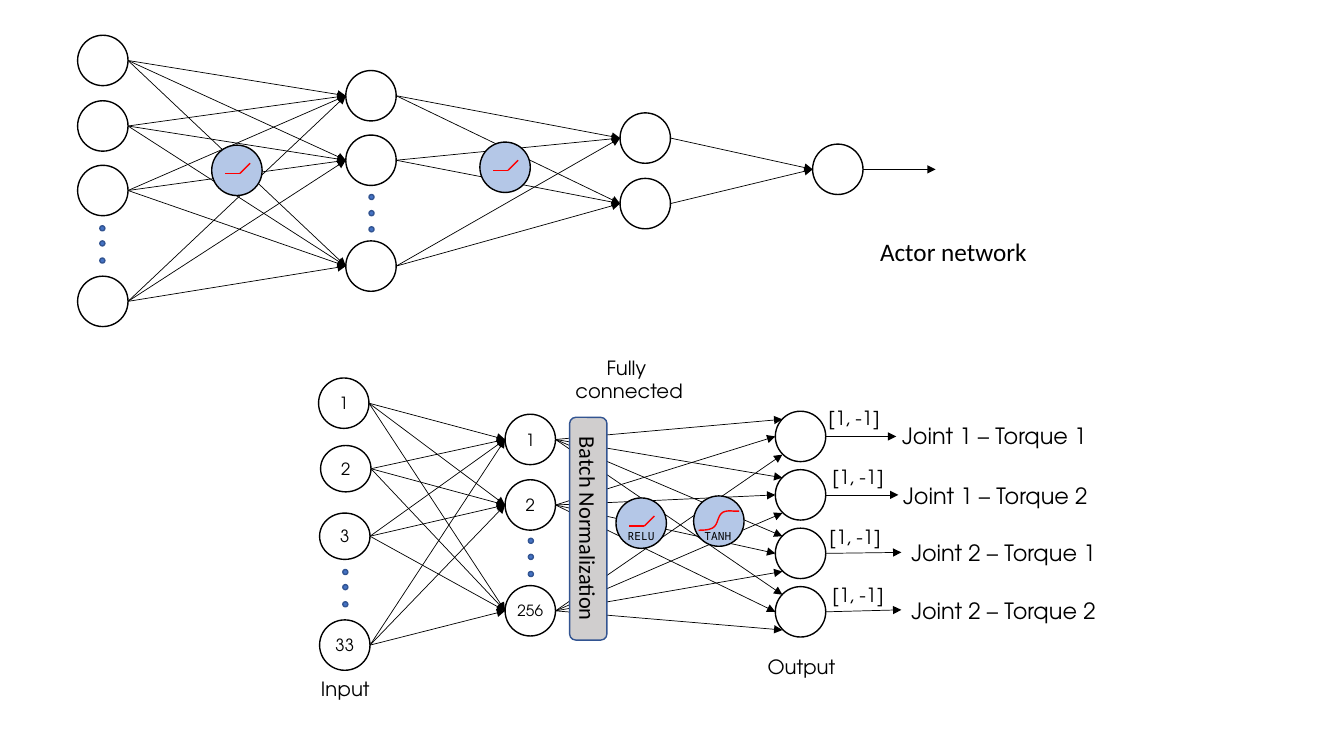
from itertools import product
from lxml.etree import SubElement
from pptx import Presentation
from pptx.dml.color import RGBColor
from pptx.enum.shapes import MSO_CONNECTOR as CONN, MSO_SHAPE as SHAPE
from pptx.enum.text import MSO_ANCHOR as ANCHOR, MSO_AUTO_SIZE as AUTO, PP_ALIGN as ALIGN
from pptx.oxml.ns import qn
from pptx.util import Cm, Pt

SANS, MONO, BODY = "TeX Gyre Adventor", "Noto Sans Mono", "Calibri"
BLACK, RED, BLUE, NAVY, PALE, GREY = "000000", "FF0000", "4472C4", "325491", "B4C7E7", "D0CECE"
D = 0.5
DOT = 0.05

ACTOR_LAYERS = [
    (0.77, [0.6, 1.25, 1.89, 2.99]),
    (3.43, [0.95, 1.59, 2.64]),
    (6.15, [1.37, 2.02]),
    (8.06, [1.68]),
]
INPUTS = [(3.16, 4.0, "1", D), (3.18, 4.65, "2", 0.46), (3.17, 5.32, "3", 0.46), (3.17, 6.4, "33", D)]
HIDDEN = [(5.01, 4.36, "1", 12), (5.01, 5.01, "2", 12), (5.01, 6.06, "256", 11)]
OUTPUTS = [(7.69, 4.33 + 0.58 * i) for i in range(4)]
ENTRY_POINTS = [(0.07, -0.17), (0, 0), (0.07, 0.18)]
DOTS = [
    (0.99, [2.24, 2.39, 2.56]),
    (3.66, [1.93, 2.09, 2.25]),
    (3.4, [5.65, 5.8, 5.97]),
    (5.24, [5.34, 5.5, 5.67]),
]
RELUS = [(2.1, 1.44), (4.76, 1.41), (6.11, 4.94)]
RELU_BEND = [(0.13, 0.28), (0.28, 0.28), (0.38, 0.18)]
TANH = (6.88, 4.92)
TANH_START = (6.93, 5.26)
TANH_CURVES = [
    [(6.97, 5.26), (7.04, 5.26), (7.08, 5.23)],
    [(7.12, 5.2), (7.12, 5.12), (7.16, 5.09)],
    [(7.19, 5.06), (7.27, 5.07), (7.27, 5.07)],
]
TANH_END = (7.33, 5.07)
BAR = (5.65, 4.14, 0.37, 2.21)
ARROWS_OUT = [
    (8.56, 1.68, 9.28, 1.68),
    (8.19, 4.33, 8.89, 4.33),
    (8.19, 4.91, 8.91, 4.91),
    (8.19, 5.49, 8.94, 5.48),
    (8.19, 6.07, 8.94, 6.05),
]
TORQUES = [
    ("Joint 1 – Torque 1", 8.85, 4.14),
    ("Joint 1 – Torque 2", 8.86, 4.73),
    ("Joint 2 – Torque 1", 8.94, 5.3),
    ("Joint 2 – Torque 2", 8.94, 5.87),
]
RANGES = [(8.05, 3.98), (8.09, 4.56), (8.06, 5.16), (8.09, 5.73)]
CAPTIONS = [
    (["Fully ", "connected"], (5.36, 3.48, 1.76, 0.57)),
    (["Input"], (2.75, 6.67, 1.35, 0.34)),
    (["Output"], (7.07, 6.45, 1.76, 0.34)),
]
FUNCTION_NAMES = [("RELU", 6.16), ("TANH", 6.92)]

prs = Presentation()


def inches(*values):
    return [Cm(v * 2.54) for v in values]


def rgb(value):
    return RGBColor.from_string(value)


prs.slide_width, prs.slide_height = inches(13.33, 7.5)
s = prs.slides.add_slide(prs.slide_layouts[6])


def style(sp, fill, line):
    sp.shadow.inherit = False
    if fill:
        sp.fill.solid()
        sp.fill.fore_color.rgb = rgb(fill)
    else:
        sp.fill.background()
    sp.line.color.rgb = rgb(line)
    sp.line.width = Pt(1)


def write(tf, lines, size, name=SANS, align=ALIGN.CENTER, inset=None, **frame):
    if inset is not None:
        for side in ("left", "top", "right", "bottom"):
            frame["margin_" + side] = Cm(inset)
    for key, value in {"word_wrap": True, **frame}.items():
        setattr(tf, key, value)
    for i, line in enumerate(lines):
        p = tf.add_paragraph() if i else tf.paragraphs[0]
        p.alignment = align
        r = p.add_run()
        r.text = line
        for key, value in {"size": Pt(size), "name": name}.items():
            setattr(r.font, key, value)
        r.font.color.rgb = rgb(BLACK)


def text(lines, box, size, **fmt):
    tf = s.shapes.add_textbox(*inches(*box)).text_frame
    write(tf, lines, size, auto_size=AUTO.SHAPE_TO_FIT_TEXT, **fmt)


def shape(kind, box, fill=None, line=BLACK):
    sp = s.shapes.add_shape(kind, *inches(*box))
    style(sp, fill, line)
    return sp


def node(x, cy, label=None, size=12, h=D):
    sp = shape(SHAPE.OVAL, (x, cy - h / 2, D, h))
    if label:
        write(sp.text_frame, [label], size, inset=0.1, vertical_anchor=ANCHOR.MIDDLE)


def line(x1, y1, x2, y2, color=BLACK, width=0.5, arrow=True):
    c = s.shapes.add_connector(CONN.STRAIGHT, *inches(x1, y1, x2, y2))
    c.line.color.rgb = rgb(color)
    c.line.width = Pt(width)
    if arrow:
        SubElement(c.line._get_or_add_ln(), qn("a:tailEnd"), type="triangle")
    SubElement(c._element.spPr, qn("a:effectLst"))


def bezier(p0, p1, p2, p3, steps=8):
    for t in (i / steps for i in range(1, steps + 1)):
        u = 1 - t
        yield tuple(u**3 * a + 3 * u * u * t * b + 3 * u * t * t * c + t**3 * d
                    for a, b, c, d in zip(p0, p1, p2, p3))


for (x1, ys1), (x2, ys2) in zip(ACTOR_LAYERS, ACTOR_LAYERS[1:]):
    for y1, y2 in product(ys1, ys2):
        line(x1 + D, y1, x2, y2)
for x, ys in ACTOR_LAYERS:
    for y in ys:
        node(x, y)

for (x1, y1, *_), (x2, y2, *_) in product(INPUTS, HIDDEN):
    line(x1 + D, y1, x2, y2)
for (x1, y1, *_), (dx, dy) in zip(HIDDEN, ENTRY_POINTS):
    for x2, y2 in OUTPUTS:
        line(x1 + D, y1, x2 + dx, y2 + dy)
for x, y, label, h in INPUTS:
    node(x, y, label, h=h)
for x, y, label, size in HIDDEN:
    node(x, y, label, size)
for x, y in OUTPUTS:
    node(x, y)
for arrow in ARROWS_OUT:
    line(*arrow)

for x, ys in DOTS:
    for y in ys:
        shape(SHAPE.OVAL, (x, y, DOT, DOT), BLUE, NAVY)

for x, y in RELUS:
    shape(SHAPE.OVAL, (x, y, D, D), PALE)
    for (ax, ay), (bx, by) in zip(RELU_BEND, RELU_BEND[1:]):
        line(x + ax, y + ay, x + bx, y + by, RED, 1, False)

shape(SHAPE.OVAL, (*TANH, D, D), PALE)
points = [TANH_START]
for curve in TANH_CURVES:
    points += bezier(points[-1], *curve)
points = [inches(*pt) for pt in points + [TANH_END]]
fb = s.shapes.build_freeform(*points[0])
fb.add_line_segments(points[1:], close=False)
style(fb.convert_to_shape(), None, RED)

bar = shape(SHAPE.ROUNDED_RECTANGLE, BAR, GREY, NAVY)
write(bar.text_frame, ["Batch Normalization"], 16, BODY, vertical_anchor=ANCHOR.MIDDLE)
bar.text_frame._txBody.bodyPr.set("vert", "vert")

for label, x, y in TORQUES:
    text([label], (x, y, 2.26, 0.37), 16, align=ALIGN.LEFT)
for x, y in RANGES:
    text(["[1, -1]"], (x, y, 0.84, 0.34), 14)
for lines, box in CAPTIONS:
    text(lines, box, 14)
for label, x in FUNCTION_NAMES:
    text([label], (x, 5.25, 0.4, 0.13), 8, name=MONO, inset=0)
text(["Actor network"], (8.63, 2.3, 3.31, 0.4), 18, name=BODY, align=ALIGN.LEFT)

prs.save("out.pptx")
